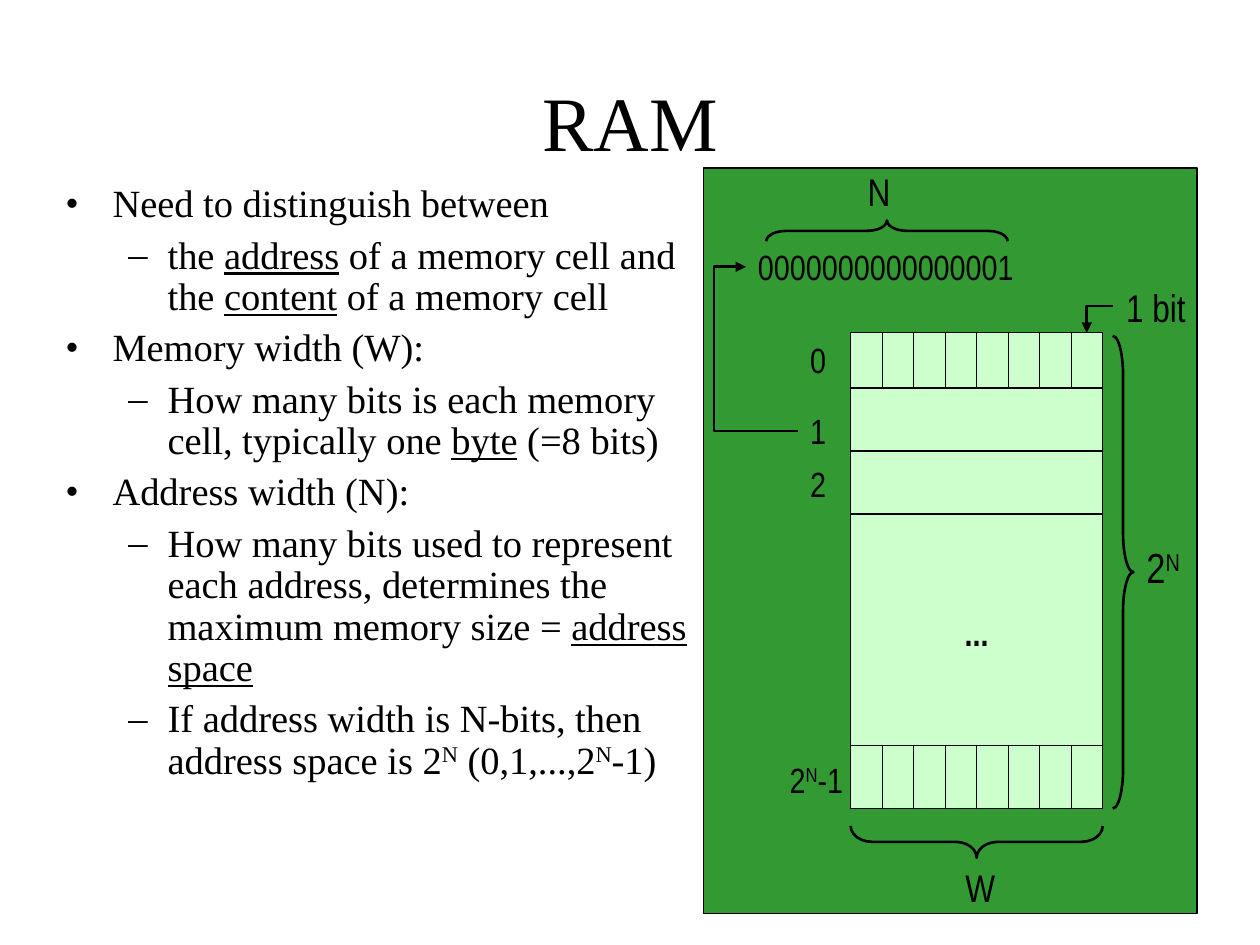
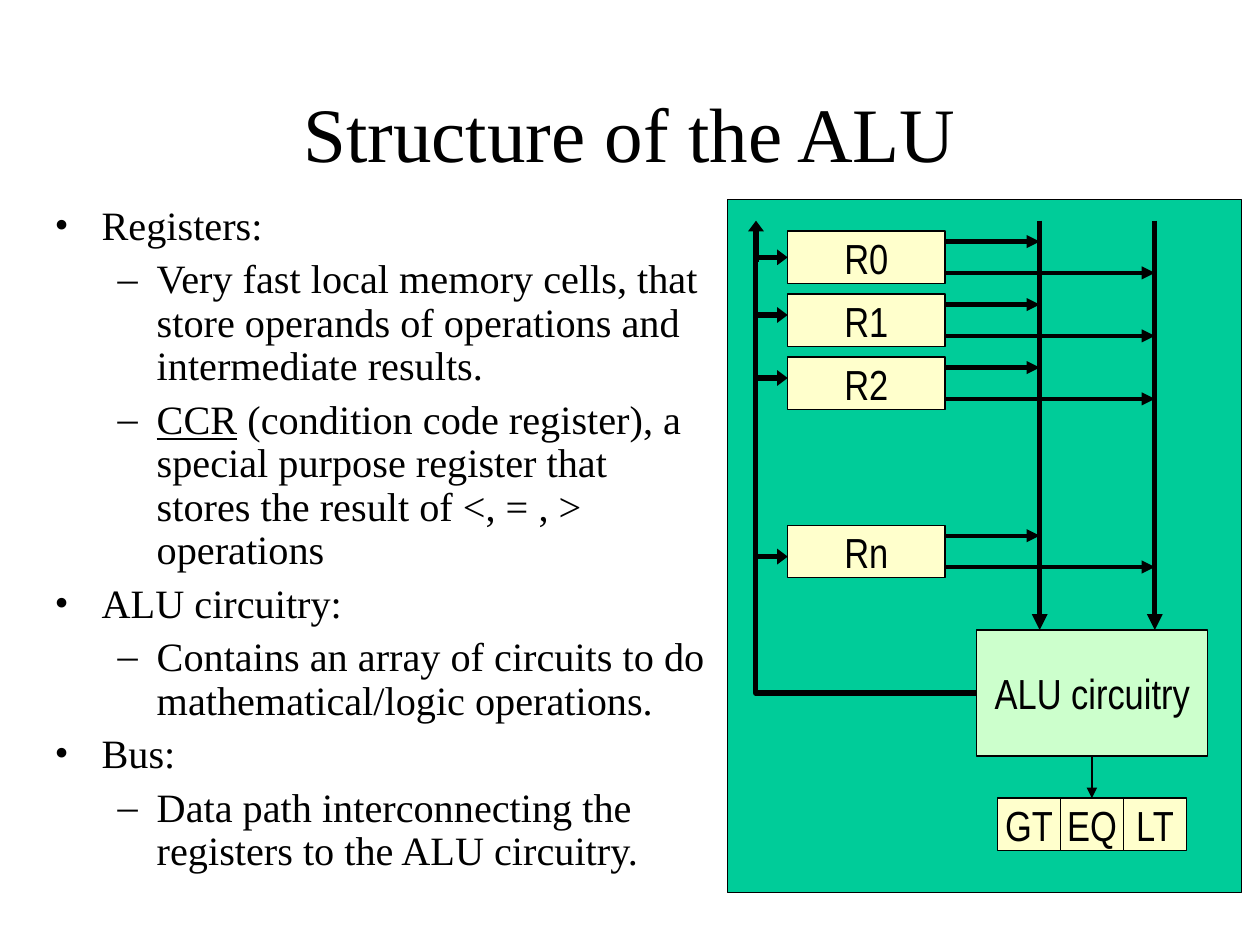
from typing import Any, NamedTuple

from lxml.etree import SubElement
from pptx import Presentation
from pptx.dml.color import RGBColor
from pptx.enum.shapes import MSO_CONNECTOR as Connector, MSO_SHAPE as Preset
from pptx.enum.text import MSO_ANCHOR as Anchor, PP_ALIGN as Align
from pptx.oxml.ns import qn
from pptx.util import Cm, Pt

BLACK, WHITE = "000000", "FFFFFF"
GREEN, TEAL = "339933", "00CC99"
MINT, CREAM = "CCFFCC", "FFFFCC"
SERIF, NARROW = "Times New Roman", "Arial Narrow"


class Area(NamedTuple):
    """A rectangle in centimetres."""

    left: float
    top: float
    width: float
    height: float


class Label(NamedTuple):
    """A short diagram text with its box and size."""

    text: str
    area: Area
    size: int = 20


class Brace(NamedTuple):
    """A brace with its curve and turn."""

    preset: Any
    area: Area
    curve: float
    rotation: int = 0


class Wire(NamedTuple):
    """A line between two points in centimetres."""

    start: tuple[float, float]
    end: tuple[float, float]
    weight: float = 1.5
    geometry: str = "line"
    bend: float | None = None
    head_length: str = "med"


class Item(NamedTuple):
    """A bulleted line; pieces split by | may be marked _ or ^."""

    level: int
    text: str


class Level(NamedTuple):
    """The bullet and indents of an outline level."""

    bullet: str
    margin: float
    hanging: float


LEVELS = (Level("•", 0.95, 0.95), Level("–", 2.06, 0.79))

RAM_ITEMS = (
    Item(0, "Need to distinguish between"),
    Item(1, "the |_address| of a memory cell and the |_content| of a memory cell"),
    Item(0, "Memory width (W):"),
    Item(1, "How many bits is each memory cell, typically one |_byte| (=8 bits)"),
    Item(0, "Address width (N):"),
    Item(1, "How many bits used to represent each address, determines the "
            "maximum memory size = |_address space"),
    Item(1, "If address width is N-bits, then address space is 2|^N| (0,1,...,2|^N|-1)"),
)
ALU_ITEMS = (
    Item(0, "Registers:"),
    Item(1, "Very fast local memory cells, that store operands of operations "
            "and intermediate results."),
    Item(1, "_CCR| (condition code register), a special purpose register that "
            "stores the result of <, = , > operations"),
    Item(0, "ALU circuitry:"),
    Item(1, "Contains an array of circuits to do mathematical/logic operations."),
    Item(0, "Bus:"),
    Item(1, "Data path interconnecting the registers to the ALU circuitry."),
)


def color(value: str) -> RGBColor:
    """Turn a hex string into a colour."""
    return RGBColor.from_string(value)


def apply_format(target: Any, values: dict[str, Any]) -> None:
    """Set each named attribute on the target."""
    for name, value in values.items():
        setattr(target, name, value)


def place(area: Area) -> list[Cm]:
    """Turn an area into slide lengths."""
    return [Cm(value) for value in area]


def add_runs(paragraph: Any, text: str, font: str, size: float, bold: bool = False) -> None:
    """Write marked-up text as formatted runs."""
    for piece in text.split("|"):
        run = paragraph.add_run()
        run.text = piece.lstrip("_^")
        apply_format(run.font, {"name": font, "size": Pt(size), "bold": bold,
                                "underline": piece.startswith("_")})
        run.font.color.rgb = color(BLACK)
        if piece.startswith("^"):
            run.font._element.set("baseline", "30000")


def add_text(slide: Any, area: Area) -> Any:
    """Add a wrapping text box and return its frame."""
    frame = slide.shapes.add_textbox(*place(area)).text_frame
    frame.word_wrap = True
    return frame


def add_title(slide: Any, text: str, height: float) -> None:
    """Add the centred slide title."""
    frame = add_text(slide, Area(1.9, 1.7, 21.6, height))
    frame.vertical_anchor = Anchor.MIDDLE
    paragraph = frame.paragraphs[0]
    paragraph.alignment = Align.CENTER
    add_runs(paragraph, text, SERIF, 44)


def add_outline(slide: Any, area: Area, items: tuple[Item, ...], size: int) -> None:
    """Add the two-level bulleted outline."""
    frame = add_text(slide, area)
    for index, item in enumerate(items):
        paragraph = frame.add_paragraph() if index else frame.paragraphs[0]
        level = LEVELS[item.level]
        properties = paragraph._p.get_or_add_pPr()
        properties.set("marL", str(Cm(level.margin)))
        properties.set("indent", str(-Cm(level.hanging)))
        SubElement(properties, qn("a:buFont"), typeface=SERIF)
        SubElement(properties, qn("a:buChar"), char=level.bullet)
        apply_format(paragraph, {"level": item.level, "line_spacing": 0.9,
                                 "space_before": Pt(size / 4 if index else 0)})
        add_runs(paragraph, item.text, SERIF, size)


def add_block(slide: Any, area: Area, fill: str, text: str = "",
              size: int = 24, bold: bool = False) -> None:
    """Add a thin-lined rectangle with optional centred text."""
    shape = slide.shapes.add_shape(Preset.RECTANGLE, *place(area))
    shape.shadow.inherit = False
    shape.fill.solid()
    shape.fill.fore_color.rgb = color(fill)
    shape.line.color.rgb = color(BLACK)
    shape.line.width = Pt(0.75)
    if text:
        apply_format(shape.text_frame, {"word_wrap": False, "vertical_anchor": Anchor.MIDDLE})
        paragraph = shape.text_frame.paragraphs[0]
        paragraph.alignment = Align.CENTER
        add_runs(paragraph, text, NARROW, size, bold)


def add_label(slide: Any, label: Label) -> None:
    """Add a diagram label."""
    add_runs(add_text(slide, label.area).paragraphs[0], label.text, NARROW, label.size)


def add_brace(slide: Any, brace: Brace) -> None:
    """Add an unfilled brace."""
    shape = slide.shapes.add_shape(brace.preset, *place(brace.area))
    shape.shadow.inherit = False
    shape.fill.background()
    shape.line.color.rgb = color(BLACK)
    shape.line.width = Pt(1.5)
    shape.adjustments[0] = brace.curve
    shape.rotation = brace.rotation


def add_wire(slide: Any, wire: Wire) -> None:
    """Add a straight or bent arrow."""
    kind = Connector.STRAIGHT if wire.geometry == "line" else Connector.ELBOW
    points = [Cm(value) for value in (*wire.start, *wire.end)]
    connector = slide.shapes.add_connector(kind, *points)
    connector.line.color.rgb = color(BLACK)
    connector.line.width = Pt(wire.weight)
    properties = connector._element.spPr
    geometry = properties.find(qn("a:prstGeom"))
    geometry.set("prst", wire.geometry)
    if wire.bend is not None:
        SubElement(geometry.find(qn("a:avLst")), qn("a:gd"), name="adj1",
                   fmla=f"val {round(wire.bend * 100000)}")
    SubElement(properties.find(qn("a:ln")), qn("a:tailEnd"), type="triangle",
               w="med", len=wire.head_length)
    SubElement(properties, qn("a:effectLst"))


def add_slide(presentation: Any) -> Any:
    """Add a blank white slide."""
    slide = presentation.slides.add_slide(presentation.slide_layouts[6])
    slide.background.fill.solid()
    slide.background.fill.fore_color.rgb = color(WHITE)
    return slide


def build_ram(slide: Any) -> None:
    """Draw the memory slide."""
    add_block(slide, Area(14.18, 3.39, 9.95, 15.03), GREEN)
    add_title(slide, "RAM", 1.48)
    add_outline(slide, Area(1.07, 3.6, 13.13, 14.6), RAM_ITEMS, 22)

    left, width, height, bits = 17.15, 5.08, 1.27, 8
    first_row, last_row = 6.71, 15.03
    bit_width = width / bits
    add_block(slide, Area(left, 10.36, width, 4.8), MINT, "...", 20, True)
    for row in (first_row, last_row):
        for bit in range(bits):
            add_block(slide, Area(left + bit * bit_width, row, bit_width, height), MINT)
    for row in (9.09, 7.82):
        add_block(slide, Area(left, row, width, height), MINT)

    for label in (
        Label("0", Area(16.08, 6.7, 0.8, 1.1)),
        Label("1", Area(16.08, 8.14, 0.8, 1.1)),
        Label("2", Area(16.08, 9.19, 0.8, 1.1)),
        Label("2|^N|-1", Area(15.67, 15.16, 1.9, 1.1)),
        Label("0000000000000001", Area(15.03, 4.83, 6.1, 1.1)),
        Label("1 bit", Area(22.45, 5.6, 1.9, 1.2), 22),
        Label("N", Area(17.24, 3.26, 1.2, 1.2), 22),
        Label("W", Area(19.21, 17.3, 1.3, 1.2), 22),
        Label("2|^N", Area(22.86, 10.8, 1.4, 1.27), 24),
    ):
        add_label(slide, label)
    for brace in (
        Brace(Preset.LEFT_BRACE, Area(17.67, 2.22, 0.42, 4.87), 0.96, 90),
        Brace(Preset.LEFT_BRACE, Area(19.37, 14.43, 0.64, width), 0.67, 270),
        Brace(Preset.RIGHT_BRACE, Area(22.43, 6.77, 0.42, 9.53), 1.87),
    ):
        add_brace(slide, brace)
    add_wire(slide, Wire((22.43, 6.17), (21.91, first_row), geometry="bentConnector2"))
    add_wire(slide, Wire((16.08, 8.69), (15.04, 5.38), 1.5, "bentConnector3", 1.62))


def build_alu(slide: Any) -> None:
    """Draw the arithmetic unit slide."""
    add_block(slide, Area(14.66, 4.02, 10.37, 13.97), TEAL)
    add_title(slide, "Structure of the ALU", 1.9)
    add_outline(slide, Area(0.85, 4.02, 13.67, 13.97), ALU_ITEMS, 23)
    add_block(slide, Area(19.69, 12.7, 4.66, 2.54), MINT, "ALU circuitry")

    left, width, height = 15.88, 3.17, 1.06
    result_bus, operand_buses = 15.24, (20.96, 23.28)
    bus_top, circuitry_top = 4.45, 12.7
    for bus in operand_buses:
        add_wire(slide, Wire((bus, bus_top), (bus, circuitry_top), 3))
    registers = {"R0": 4.66, "R1": 5.93, "R2": 7.2, "Rn": 10.59}
    for name, top in registers.items():
        add_block(slide, Area(left, top, width, height), CREAM, name)
        for bus, offset in zip(operand_buses, (0.21, 0.84)):
            add_wire(slide, Wire((left + width, top + offset), (bus, top + offset), 2.5))
    for entry in (6.35, 7.62, 11.22):
        add_wire(slide, Wire((result_bus, entry), (left, entry), 3, head_length="sm"))
    add_wire(slide, Wire((19.69, 13.97), (left, 5.19), 3, "bentConnector3", 1.17, "sm"))
    add_wire(slide, Wire((result_bus, 5.28), (result_bus, bus_top), 3, head_length="sm"))

    flag_width = 1.27
    for index, flag in enumerate(("GT", "EQ", "LT")):
        add_block(slide, Area(20.11 + index * flag_width, 16.09, flag_width, height), CREAM, flag)
    add_wire(slide, Wire((22.01, 15.24), (22.01, 16.09)))


def main() -> None:
    """Build and save the presentation."""
    presentation = Presentation()
    apply_format(presentation, {"slide_width": Cm(25.4), "slide_height": Cm(19.05)})
    for build in (build_ram, build_alu):
        build(add_slide(presentation))
    presentation.save("out.pptx")


if __name__ == "__main__":
    main()
